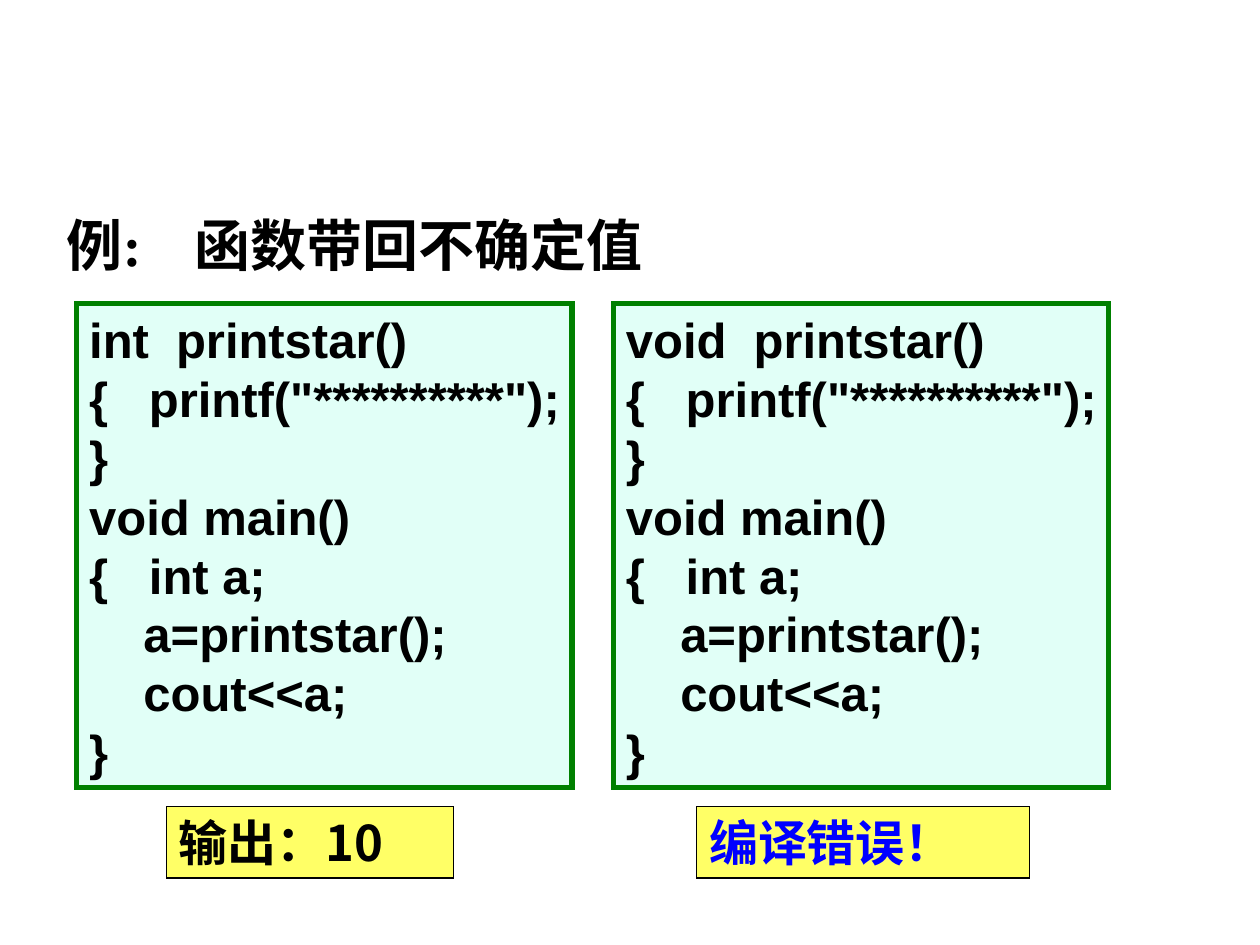
import pptx
import pptx.dml.color
import pptx.enum.shapes
import pptx.enum.text
import pptx.oxml.ns
import pptx.util
from lxml import etree
from pptx.util import Inches

BLACK = pptx.dml.color.RGBColor(0x00, 0x00, 0x00)
BLUE = pptx.dml.color.RGBColor(0x00, 0x00, 0xFF)
GREEN = pptx.dml.color.RGBColor(0x00, 0x80, 0x00)
MINT = pptx.dml.color.RGBColor(0xE1, 0xFF, 0xF7)
YELLOW = pptx.dml.color.RGBColor(0xFF, 0xFF, 0x66)

CHINESE_FONT = "Noto Sans CJK SC"
SERIF_FONT = "Times New Roman"
CODE_FONT = "Arial"

HEADING = [("例", CHINESE_FONT), (":\t", SERIF_FONT), ("函数带回不确定值", CHINESE_FONT)]
CODE_AFTER_TYPE = """  printstar()
{   printf("**********");
}
void main()
{   int a;
    a=printstar();
    cout<<a;
}"""

PANEL_TOP, PANEL_WIDTH, PANEL_HEIGHT = Inches(2.41), Inches(3.93), Inches(3.84)
RESULT_TOP, RESULT_HEIGHT = Inches(6.4), Inches(0.57)

# return type, panel left, result text, result font, result colour, result left, result width
EXAMPLES = [
    ("int", Inches(0.61), "输出：10", CHINESE_FONT, BLACK, Inches(1.32), Inches(2.28)),
    ("void", Inches(4.87), "编译错误！", SERIF_FONT, BLUE, Inches(5.53), Inches(2.64)),
]


def set_attributes(target, values):
    for name, value in values.items():
        setattr(target, name, value)


def add_run(paragraph, text, font_name, size, color):
    run = paragraph.add_run()
    run.text = text
    set_attributes(run.font, {"name": font_name, "size": pptx.util.Pt(size), "bold": True})
    run.font.color.rgb = color
    east_asian = etree.SubElement(run.font._element, pptx.oxml.ns.qn("a:ea"))
    east_asian.set("typeface", CHINESE_FONT)


def format_frame(frame, wrap):
    set_attributes(frame, {
        "margin_left": Inches(0.1), "margin_right": Inches(0.1),
        "margin_top": Inches(0.05), "margin_bottom": Inches(0.05),
        "word_wrap": wrap,
        "auto_size": pptx.enum.text.MSO_AUTO_SIZE.NONE,
        "vertical_anchor": pptx.enum.text.MSO_ANCHOR.TOP,
    })


def add_panel(slide, box, lines, fill, line, font_name, color, wrap=True):
    """Add a filled rectangle with a square-cornered outline and one paragraph for each line."""
    shape = slide.shapes.add_shape(pptx.enum.shapes.MSO_SHAPE.RECTANGLE, *box)
    shape.shadow.inherit = False
    shape.fill.solid()
    shape.fill.fore_color.rgb = fill
    line_color, line_width = line
    shape.line.color.rgb = line_color
    shape.line.width = pptx.util.Pt(line_width)
    outline = shape.line._get_or_add_ln()
    etree.SubElement(outline, pptx.oxml.ns.qn("a:miter"), lim="800000")
    frame = shape.text_frame
    format_frame(frame, wrap)
    for index, text in enumerate(lines):
        paragraph = frame.paragraphs[0] if index == 0 else frame.add_paragraph()
        paragraph.alignment = pptx.enum.text.PP_ALIGN.LEFT
        add_run(paragraph, text, font_name, 28, color)


def place_heading(slide, left, top, width, height):
    title = slide.shapes.title
    set_attributes(title, {"left": left, "top": top, "width": width, "height": height})
    format_frame(title.text_frame, True)
    paragraph = title.text_frame.paragraphs[0]
    paragraph.alignment = pptx.enum.text.PP_ALIGN.LEFT
    properties = paragraph._p.get_or_add_pPr()
    tabs = etree.SubElement(properties, pptx.oxml.ns.qn("a:tabLst"))
    etree.SubElement(tabs, pptx.oxml.ns.qn("a:tab"), pos=str(Inches(1.01)), algn="l")
    for text, font_name in HEADING:
        add_run(paragraph, text, font_name, 32, BLACK)


def add_code(slide, box, return_type):
    lines = (return_type + CODE_AFTER_TYPE).split("\n")
    add_panel(slide, box, lines, MINT, (GREEN, 3), CODE_FONT, BLACK, wrap=False)


def add_result(slide, box, text, font_name, color):
    add_panel(slide, box, [text], YELLOW, (BLACK, 0.75), font_name, color)


def main():
    presentation = pptx.Presentation()
    set_attributes(presentation, {"slide_width": Inches(10), "slide_height": Inches(7.5)})
    slide = presentation.slides.add_slide(presentation.slide_layouts.get_by_name("Title Only"))
    place_heading(slide, Inches(0.43), Inches(1.62), Inches(6.61), Inches(0.64))
    for return_type, left, text, font_name, color, result_left, result_width in EXAMPLES:
        add_code(slide, (left, PANEL_TOP, PANEL_WIDTH, PANEL_HEIGHT), return_type)
        add_result(slide, (result_left, RESULT_TOP, result_width, RESULT_HEIGHT),
                   text, font_name, color)
    presentation.save("out.pptx")


if __name__ == "__main__":
    main()
